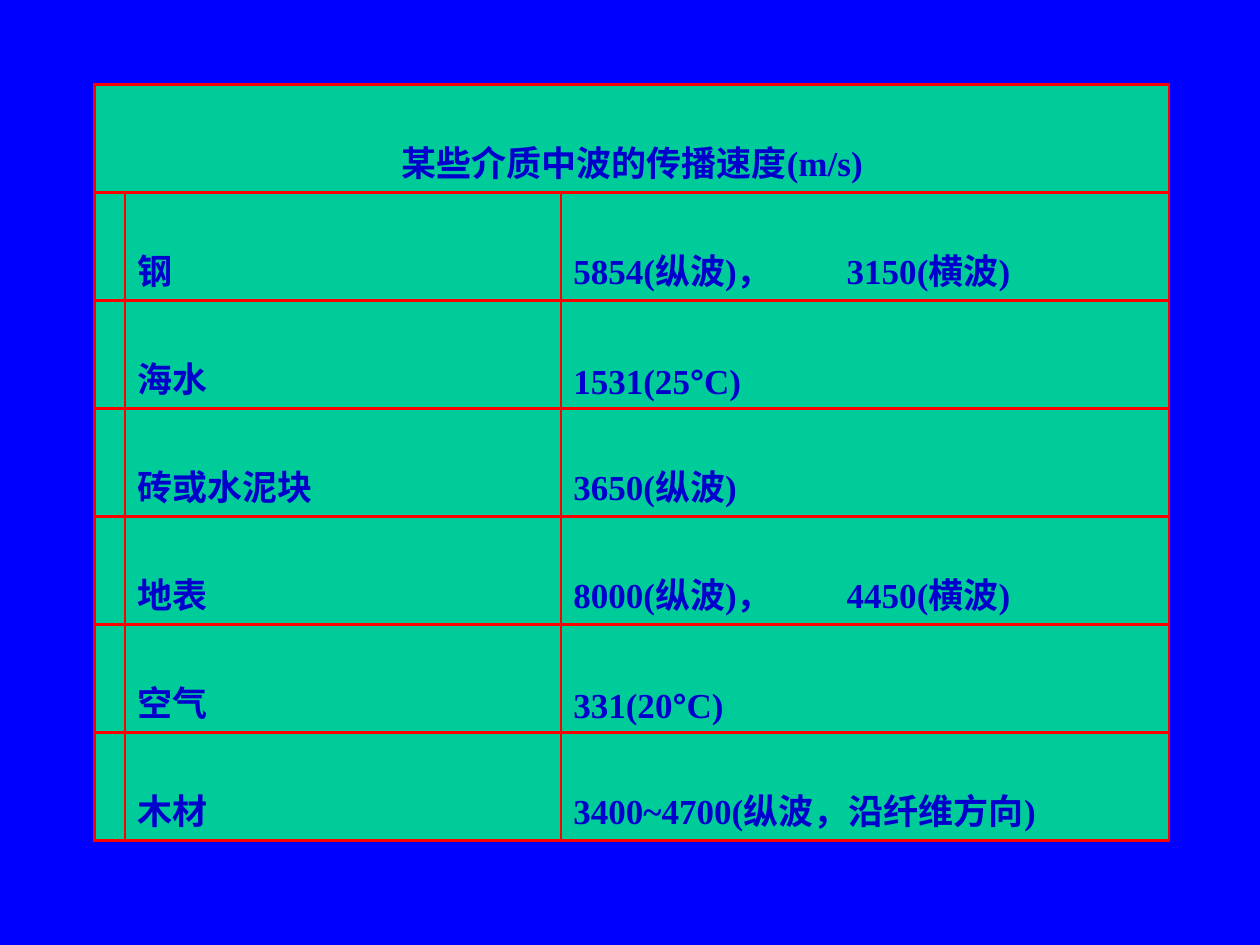
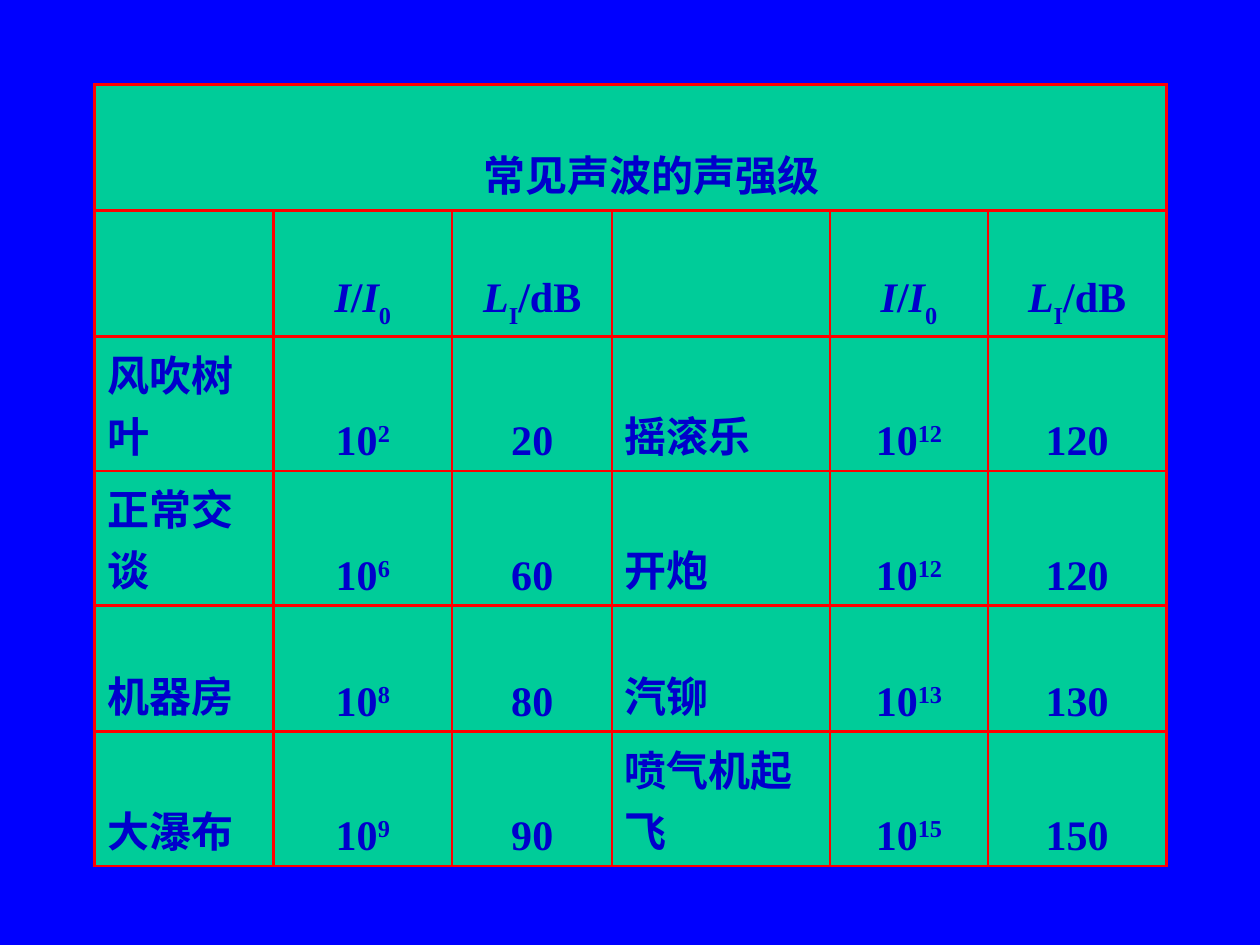
from dataclasses import dataclass

from lxml.etree import SubElement
from pptx import Presentation
from pptx.dml.color import RGBColor
from pptx.enum.text import MSO_ANCHOR, PP_ALIGN
from pptx.oxml import parse_xml
from pptx.oxml.ns import nsdecls, qn
from pptx.util import Inches, Pt


@dataclass(frozen=True)
class Theme:
    background: str = "0000FF"
    cell: str = "00CC99"
    border: str = "FF0000"
    text: str = "0000CC"
    font: str = "Times New Roman"
    symbol_font: str = "Arial"
    border_width: float = 1.47
    speed_size: int = 20
    level_size: int = 24


THEME = Theme()
LEFT, TOP, HEIGHT = 0.75, 0.67, 6
SECOND_SPEED_TAB = 2.17
ALIGN = {"l": PP_ALIGN.LEFT, "c": PP_ALIGN.CENTER}
BASELINE = {"sub": "-30000", "sup": "30000"}

SPEED_COLS = [0.24, 3.46, 4.83]
SPEEDS = [
    ("钢", "5854(纵波)，\t3150(横波)"),
    ("海水", [("1531(25", ""), ("°", "symbol"), ("C)", "")]),
    ("砖或水泥块", "3650(纵波)"),
    ("地表", "8000(纵波)，\t4450(横波)"),
    ("空气", [("331(20", ""), ("°", "symbol"), ("C)", "")]),
    ("木材", "3400~4700(纵波，沿纤维方向)"),
]

LEVEL_COLS = [1.42, 1.42, 1.27, 1.73, 1.25, 1.42]
RATIO = [("I", "italic"), ("/", ""), ("I", "italic"), ("0", "sub")]
LEVEL = [("L", "italic"), ("I", "sub"), ("/dB", "")]
# Each source of sound with its power of ten; the level is ten times that power.
SOUNDS = [
    [("风吹树叶", 2), ("摇滚乐", 12)],
    [("正常交谈", 6), ("开炮", 12)],
    [("机器房", 8), ("汽铆", 13)],
    [("大瀑布", 9), ("喷气机起飞", 15)],
]


def add_run(p, text, style, size):
    r = p.add_run()
    r.text = text
    font = r.font
    font.size, font.bold = Pt(size), True
    font.italic = style == "italic"
    font.name = THEME.symbol_font if style == "symbol" else THEME.font
    font.color.rgb = RGBColor.from_string(THEME.text)
    if style in BASELINE:
        r._r.get_or_add_rPr().set("baseline", BASELINE[style])


def add_tab_stop(p, inches):
    tabs = SubElement(p._p.get_or_add_pPr(), qn("a:tabLst"))
    SubElement(tabs, qn("a:tab"), pos=str(Inches(inches)), algn="l")


def draw_borders(cell):
    tc_pr = cell._tc.get_or_add_tcPr()
    for i, side in enumerate(("lnL", "lnR", "lnT", "lnB")):
        tc_pr.insert(i, parse_xml(
            f'<a:{side} {nsdecls("a")} w="{Pt(THEME.border_width)}"><a:solidFill>'
            f'<a:srgbClr val="{THEME.border}"/></a:solidFill></a:{side}>'))


def fill_cell(cell, content, align, size):
    """Write a plain string or a list of (text, style) runs into a cell."""
    cell.fill.solid()
    cell.fill.fore_color.rgb = RGBColor.from_string(THEME.cell)
    draw_borders(cell)
    cell.vertical_anchor = MSO_ANCHOR.BOTTOM
    runs = [(content, "")] if isinstance(content, str) else content
    p = cell.text_frame.paragraphs[0]
    p.alignment = ALIGN[align]
    for text, style in runs:
        if not text:
            continue
        if "\t" in text:
            add_tab_stop(p, SECOND_SPEED_TAB)
        add_run(p, text, style, size)


def add_titled_table(slide, title, cols, rows, aligns, size):
    """Add a table whose first row is one merged title cell."""
    n_rows = len(rows) + 1
    table = slide.shapes.add_table(
        n_rows, len(cols), Inches(LEFT), Inches(TOP),
        Inches(sum(cols)), Inches(HEIGHT)).table
    table.first_row = table.horz_banding = False
    for col, width in zip(table.columns, cols):
        col.width = Inches(width)
    for row in table.rows:
        row.height = Inches(HEIGHT / n_rows)
    title_row = [title] + [""] * (len(cols) - 1)
    for i, row in enumerate([title_row, *rows]):
        for j, content in enumerate(row):
            align = aligns[j] if i else "c"
            fill_cell(table.cell(i, j), content, align, size)
    table.cell(0, 0).merge(table.cell(0, len(cols) - 1))


def add_blue_slide(prs):
    s = prs.slides.add_slide(prs.slide_layouts[6])
    s.background.fill.solid()
    s.background.fill.fore_color.rgb = RGBColor.from_string(THEME.background)
    return s


def sound_cells(name, power):
    return [name, [("10", ""), (str(power), "sup")], str(10 * power)]


def main():
    prs = Presentation()
    prs.slide_width, prs.slide_height = Inches(10), Inches(7.5)

    speed_rows = [["", medium, speed] for medium, speed in SPEEDS]
    add_titled_table(add_blue_slide(prs), "某些介质中波的传播速度(m/s)",
                     SPEED_COLS, speed_rows, "lll", THEME.speed_size)

    level_rows = [["", RATIO, LEVEL] * 2]
    level_rows += [sound_cells(*a) + sound_cells(*b) for a, b in SOUNDS]
    add_titled_table(add_blue_slide(prs), "　常见声波的声强级",
                     LEVEL_COLS, level_rows, "lcclcc", THEME.level_size)

    prs.save("out.pptx")


if __name__ == "__main__":
    main()
